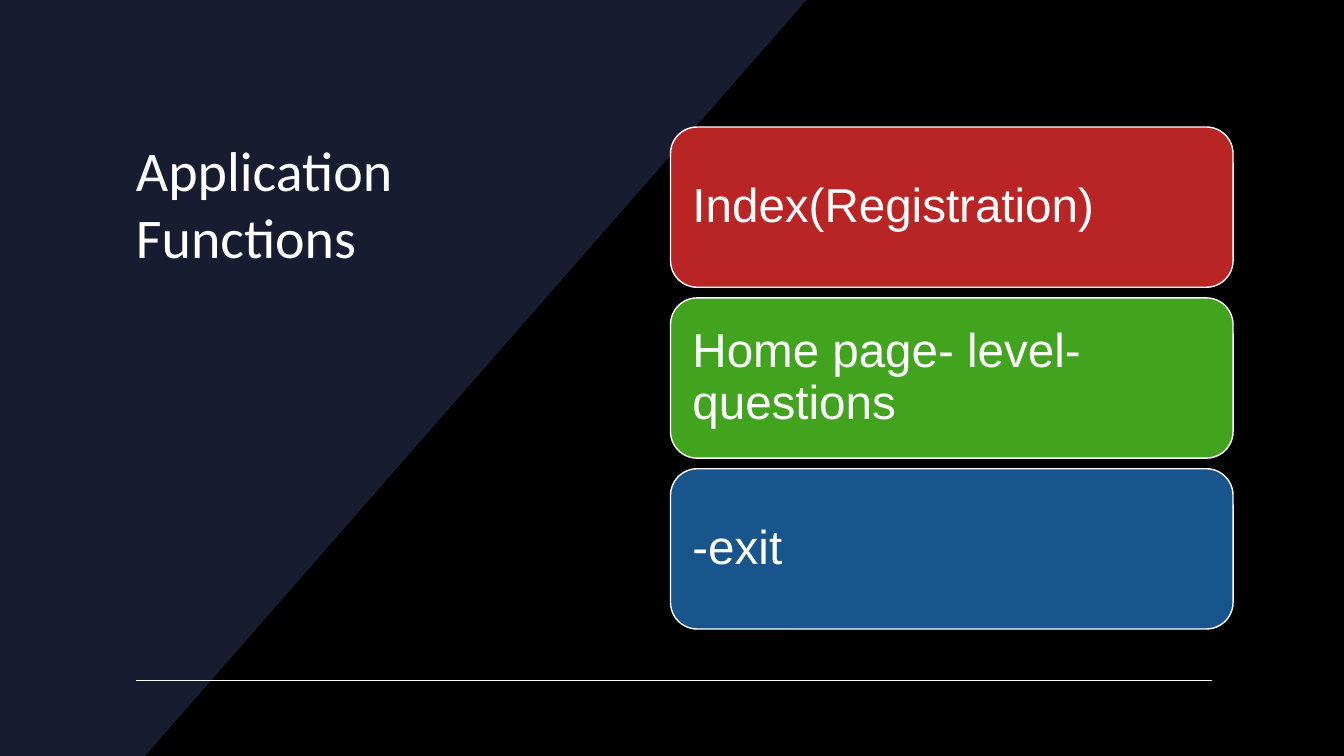
from pptx import Presentation
from pptx.dml.color import RGBColor
from pptx.enum.shapes import MSO_CONNECTOR, MSO_SHAPE
from pptx.enum.text import MSO_ANCHOR, PP_ALIGN
from pptx.oxml.ns import qn
from pptx.util import Inches, Pt
from lxml.etree import SubElement

BLACK = RGBColor(0x00, 0x00, 0x00)
WHITE = RGBColor(0xFF, 0xFF, 0xFF)
NAVY = RGBColor(0x18, 0x1C, 0x30)
RED = RGBColor(0xB9, 0x25, 0x25)
GREEN = RGBColor(0x41, 0xA3, 0x1E)
BLUE = RGBColor(0x18, 0x55, 0x8C)

WIDTH, HEIGHT = 13.33, 7.5
CARD_LEFT, CARD_TOP = 6.65, 1.26
CARD_WIDTH, CARD_HEIGHT = 5.58, 1.59
CARD_PITCH = 1.695

FUNCTIONS = [
    ("Index(Registration)", RED),
    ("Home page- level- questions", GREEN),
    ("-exit", BLUE),
]


def apply(target, settings):
    for attribute, value in settings.items():
        setattr(target, attribute, value)


def paint(shape, color):
    shape.shadow.inherit = False
    shape.fill.solid()
    shape.fill.fore_color.rgb = color


def outline(line):
    line.color.rgb = WHITE
    line.width = Pt(1)


def write(frame, wording, font, size, frame_format, paragraph_format):
    apply(frame, {"word_wrap": True, **frame_format})
    paragraph = frame.paragraphs[0]
    apply(paragraph, {"alignment": PP_ALIGN.LEFT, **paragraph_format})
    run = paragraph.add_run()
    run.text = wording
    apply(run.font, {"name": font, "size": Pt(size)})
    run.font.color.rgb = WHITE


def add_slanted_panel(slide):
    corners = [(7.53, 0), (0.96, HEIGHT), (0, HEIGHT)]
    builder = slide.shapes.build_freeform(0, 0, scale=Inches(1))
    builder.add_line_segments(corners, close=True)
    panel = builder.convert_to_shape()
    paint(panel, NAVY)
    panel.line.fill.background()


def add_title(slide, wording):
    title = slide.shapes.add_textbox(
        Inches(1.25), Inches(1.29), Inches(3.86), Inches(1.71))
    write(title.text_frame, wording, "Calibri", 40,
          {"vertical_anchor": MSO_ANCHOR.TOP}, {})


def add_rule(slide, left, right, height):
    rule = slide.shapes.add_connector(
        MSO_CONNECTOR.STRAIGHT,
        Inches(left), Inches(height), Inches(right), Inches(height))
    outline(rule.line)
    SubElement(rule._element.spPr, qn("a:effectLst"))


def add_function_card(slide, row, wording, color):
    card = slide.shapes.add_shape(
        MSO_SHAPE.ROUNDED_RECTANGLE,
        Inches(CARD_LEFT), Inches(CARD_TOP + row * CARD_PITCH),
        Inches(CARD_WIDTH), Inches(CARD_HEIGHT))
    paint(card, color)
    outline(card.line)
    sides = ("left", "top", "right", "bottom")
    margins = {f"margin_{side}": Inches(0.14) for side in sides}
    write(card.text_frame, wording, "Arial", 34,
          {"vertical_anchor": MSO_ANCHOR.MIDDLE, **margins},
          {"line_spacing": 0.9})


def main():
    deck = Presentation()
    apply(deck, {"slide_width": Inches(WIDTH), "slide_height": Inches(HEIGHT)})
    slide = deck.slides.add_slide(deck.slide_layouts[6])
    slide.background.fill.solid()
    slide.background.fill.fore_color.rgb = BLACK
    add_slanted_panel(slide)
    add_title(slide, "Application Functions")
    add_rule(slide, 1.35, 12.02, 0.9 * HEIGHT)
    for row, (wording, color) in enumerate(FUNCTIONS):
        add_function_card(slide, row, wording, color)
    deck.save("out.pptx")


main()
